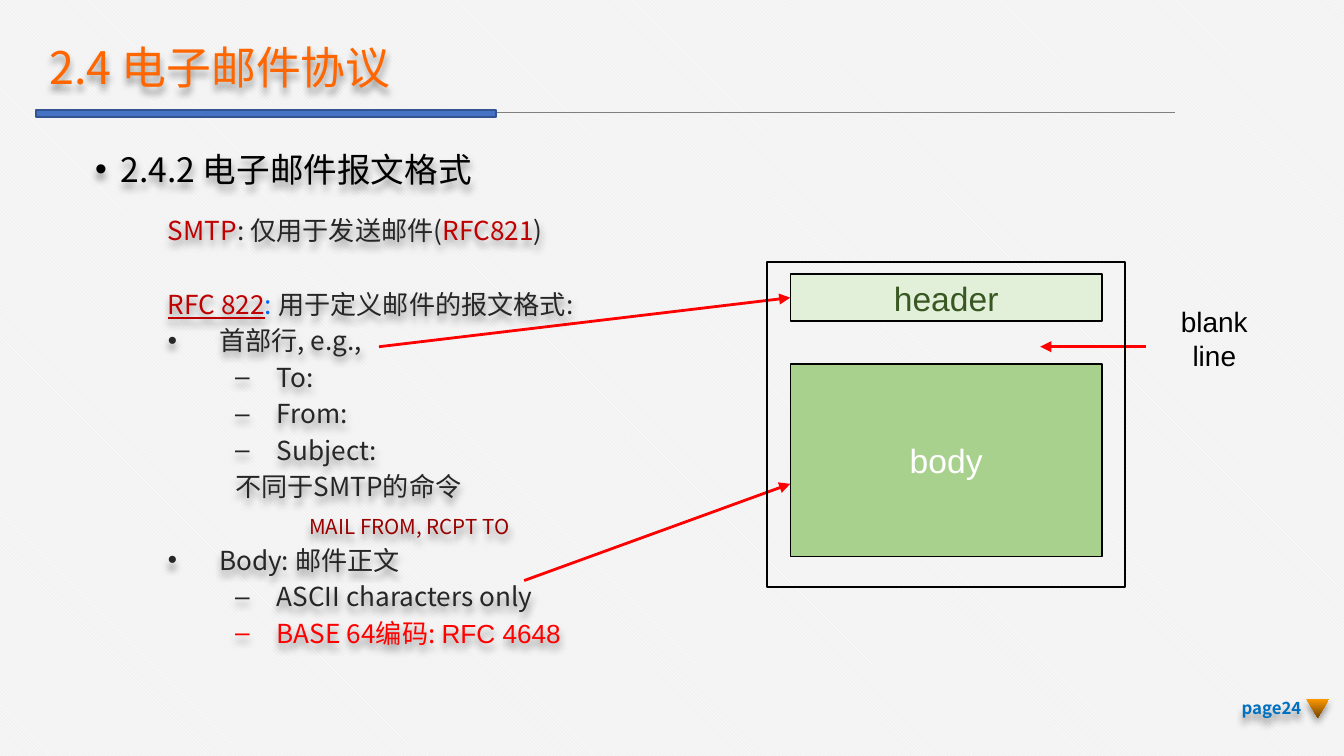
from lxml.etree import SubElement
from pptx import Presentation
from pptx.dml.color import RGBColor
from pptx.enum.dml import MSO_PATTERN
from pptx.enum.shapes import MSO_CONNECTOR, MSO_SHAPE as SHAPE
from pptx.enum.text import MSO_ANCHOR as ANCHOR, PP_ALIGN as ALIGN
from pptx.oxml.ns import qn
from pptx.util import Inches, Pt

SANS = "Noto Sans CJK SC"
DARK, WINE, RED, BLACK = "262626", "C00000", "FF0000", "000000"


def rgb(code):
    return RGBColor.from_string(code)


def style(font, size, color, face=SANS):
    """Set size, colour and typeface, for East Asian text too."""
    font.size, font.name = Pt(size), face
    font.color.rgb = rgb(color)
    SubElement(font._element, qn("a:ea"), typeface=face)


prs = Presentation()
prs.slide_width = Inches(10)
prs.slide_height = prs.slide_width * 9 // 16
slide = prs.slides.add_slide(prs.slide_layouts[6])
shapes = slide.shapes
back = slide.background.fill
back.patterned()
back.pattern = MSO_PATTERN.DARK_DOWNWARD_DIAGONAL
back.fore_color.rgb, back.back_color.rgb = rgb("FFFFFF"), rgb("F2F2F2")

# Rule under the title, then the message frame and its parts
lines = [(8.74, 0.84, 0.27, 0.84, "7F7F7F", 0.5)]
lines += [(*ends, RED, 1.5) for ends in (
    (2.82, 2.58, 5.88, 2.22), (3.9, 4.32, 5.88, 3.6), (8.53, 2.58, 7.74, 2.58))]
links = []
for x1, y1, x2, y2, color, width in lines:
    link = shapes.add_connector(
        MSO_CONNECTOR.STRAIGHT, Inches(x1), Inches(y1), Inches(x2), Inches(y2))
    link.line.color.rgb, link.line.width = rgb(color), Pt(width)
    if color == RED:
        SubElement(link.line._get_or_add_ln(), qn("a:tailEnd"), type="triangle")
    SubElement(link._element.spPr, qn("a:effectLst"))
    links.append(link)

rects = {}
for name, left, top, wide, high, fill, edge, width, color in (
        ("bar", 0.27, 0.82, 3.42, 0.05, "4472C4", "325491", 1, None),
        ("header", 5.88, 2.04, 2.32, 0.35, "E2F0D9", BLACK, 0.75, "385723"),
        ("body", 5.88, 2.71, 2.32, 1.43, "A9D18E", BLACK, 0.75, "FFFFFF"),
        ("frame", 5.71, 1.95, 2.66, 2.42, None, BLACK, 1, None)):
    rect = shapes.add_shape(
        SHAPE.RECTANGLE, Inches(left), Inches(top), Inches(wide), Inches(high))
    rect.shadow.inherit = False
    rect.line.color.rgb, rect.line.width = rgb(edge), Pt(width)
    if fill:
        rect.fill.solid()
        rect.fill.fore_color.rgb = rgb(fill)
    else:
        rect.fill.background()
    if color:
        frame = rect.text_frame
        frame.word_wrap, frame.vertical_anchor = False, ANCHOR.MIDDLE
        para = frame.paragraphs[0]
        para.text, para.alignment = name, ALIGN.CENTER
        style(para.font, 18, color, "Arial")
    rects[name] = rect
links[1].end_connect(rects["header"], 1)

mark = shapes.add_shape(
    SHAPE.FLOWCHART_MERGE, Inches(9.72), Inches(5.2), Inches(0.17), Inches(0.14))
mark.line.fill.background()
mark.fill.gradient()
mark.fill.gradient_angle = 270
for stop, color in zip(mark.fill.gradient_stops, ("FF9900", "764700")):
    stop.color.rgb = rgb(color)

# Each text line: level, bullet, size, runs of (text, colour)
title = [(0, "", 24, [("2.4 电子邮件协议", "FF6600")])]
topic = [(0, "•", 18, [("2.4.2 电子邮件报文格式", BLACK)])]
notes = [
    (0, "", 14, [("SMTP", WINE), (": 仅用于发送邮件(", DARK),
                 ("RFC821", WINE), (")", DARK)]),
    (0, "", 14, [("RFC 822", WINE), (": ", "0066FF"),
                 ("用于定义邮件的报文格式:", DARK)]),
    (0, "•", 14, [("首部行, e.g.,", DARK)]),
    (1, "–", 14, [("To:", DARK)]),
    (1, "–", 14, [("From:", DARK)]),
    (1, "–", 14, [("Subject:", DARK)]),
    (1, "", 14, [("不同于SMTP的命令", DARK)]),
    (2, "", 11, [("MAIL FROM, RCPT TO", "990000")]),
    (0, "•", 14, [("Body: 邮件正文", DARK)]),
    (1, "–", 14, [("ASCII characters only", DARK)]),
    (1, "–", 14, [("BASE 64编码: ", RED), ("RFC 4648", RED)]),
]
page = [(0, "", 9, [("page24", "0070C0")])]
label = [(0, "", 15, [(word, BLACK)]) for word in ("blank", "line")]
TOPIC_INDENT = [(0.19, 0.19)]
NOTE_INDENT = [(0.38, 0.38), (0.81, 0.31), (1.25, 0.2)]
FLAT = [(0, 0)]

boxes = []
for rows, left, top, wide, high, indent, align, anchor in (
        (title, 0.27, 0.3, 4.26, 0.44, FLAT, ALIGN.LEFT, ANCHOR.MIDDLE),
        (topic, 0.61, 1.06, 3.28, 0.44, TOPIC_INDENT, ALIGN.LEFT, ANCHOR.TOP),
        (notes, 1.17, 1.56, 3.53, 3.61, NOTE_INDENT, ALIGN.LEFT, ANCHOR.TOP),
        (page, 9.09, 5.12, 0.69, 0.3, FLAT, ALIGN.RIGHT, ANCHOR.MIDDLE),
        (label, 8.44, 2.22, 1.19, 0.61, FLAT, ALIGN.CENTER, ANCHOR.TOP)):
    box = shapes.add_textbox(Inches(left), Inches(top), Inches(wide), Inches(high))
    frame = box.text_frame
    frame.word_wrap, frame.vertical_anchor = True, anchor
    if rows is notes:
        frame.margin_left = frame.margin_right = Inches(0.08)
        frame.margin_top = frame.margin_bottom = 0
    for i, (level, bullet, size, runs) in enumerate(rows):
        para = frame.paragraphs[0] if i == 0 else frame.add_paragraph()
        para.alignment, para.level = align, level
        if rows is title:
            para.line_spacing = 0.9
        if rows is notes:
            para.line_spacing = Pt(19.6)
            if i == 1:
                para.space_before = Pt(19.6)
        props = para._p.get_or_add_pPr()
        start, hang = indent[level]
        props.set("marL", str(Inches(start)))
        props.set("indent", str(-Inches(hang)))
        if bullet:
            SubElement(props, qn("a:buFont"), typeface="Arial")
            SubElement(props, qn("a:buChar"), char=bullet)
        fonts = []
        for text, color in runs:
            run = para.add_run()
            run.text = text
            fonts.append((run.font, color))
        if len(runs) == 1:
            fonts = [(para.font, runs[0][1])]
        for (text, _), (font, color) in zip(runs, fonts):
            face = "Arial" if rows is label or text == "RFC 4648" else SANS
            style(font, size, color, face)
            font.bold = rows is page
            if text == "RFC 822":
                font.underline = True
    if rows is not label:
        boxes.append(box)

for item in (*boxes, mark):
    item.shadow.inherit = False
    glow = SubElement(item._element.spPr.find(qn("a:effectLst")), qn("a:outerShdw"),
                      blurRad=str(Pt(4)), dist=str(Pt(3)), dir="5400000")
    tint = SubElement(glow, qn("a:srgbClr"), val=BLACK)
    SubElement(tint, qn("a:alpha"), val="40000")

prs.save("out.pptx")
